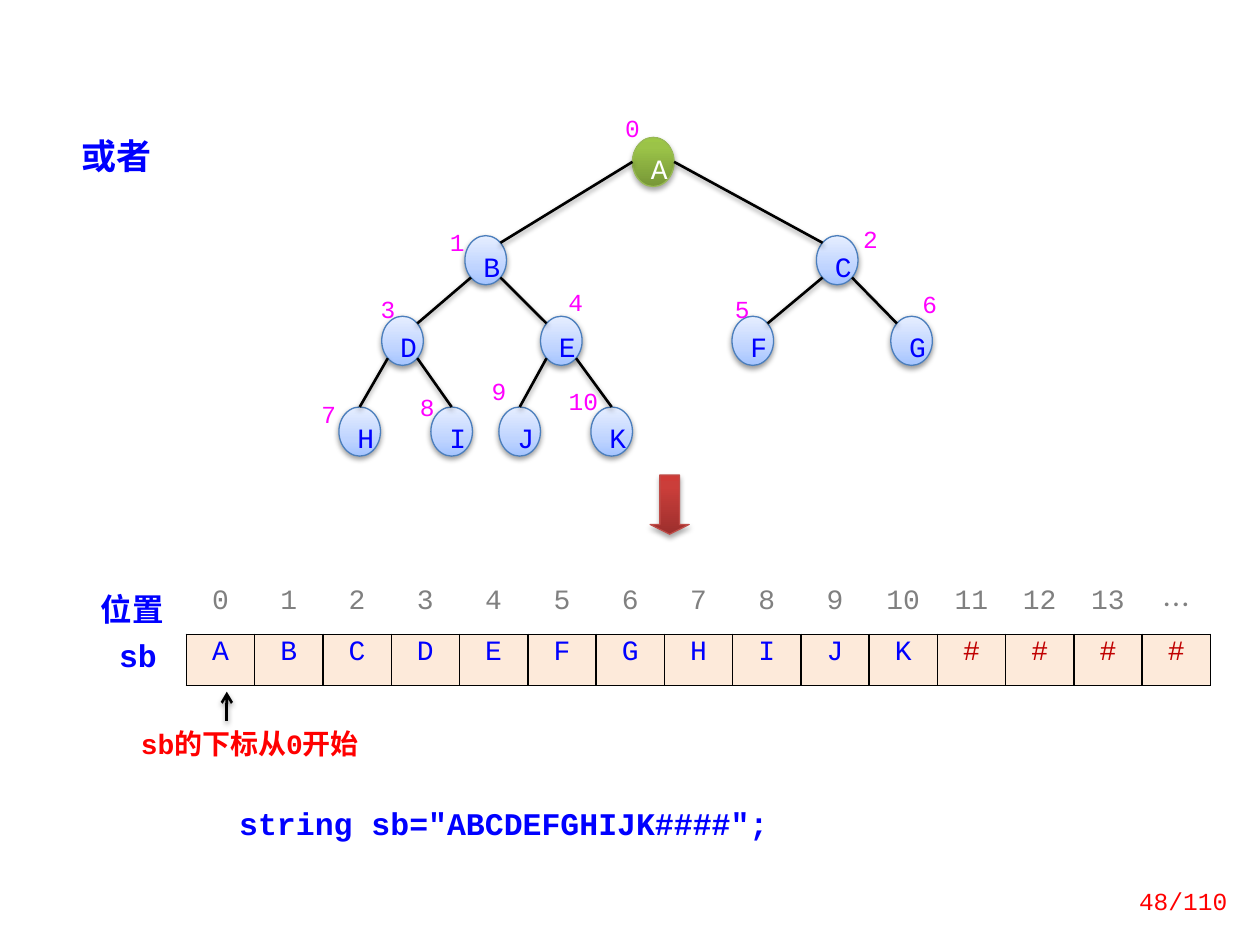
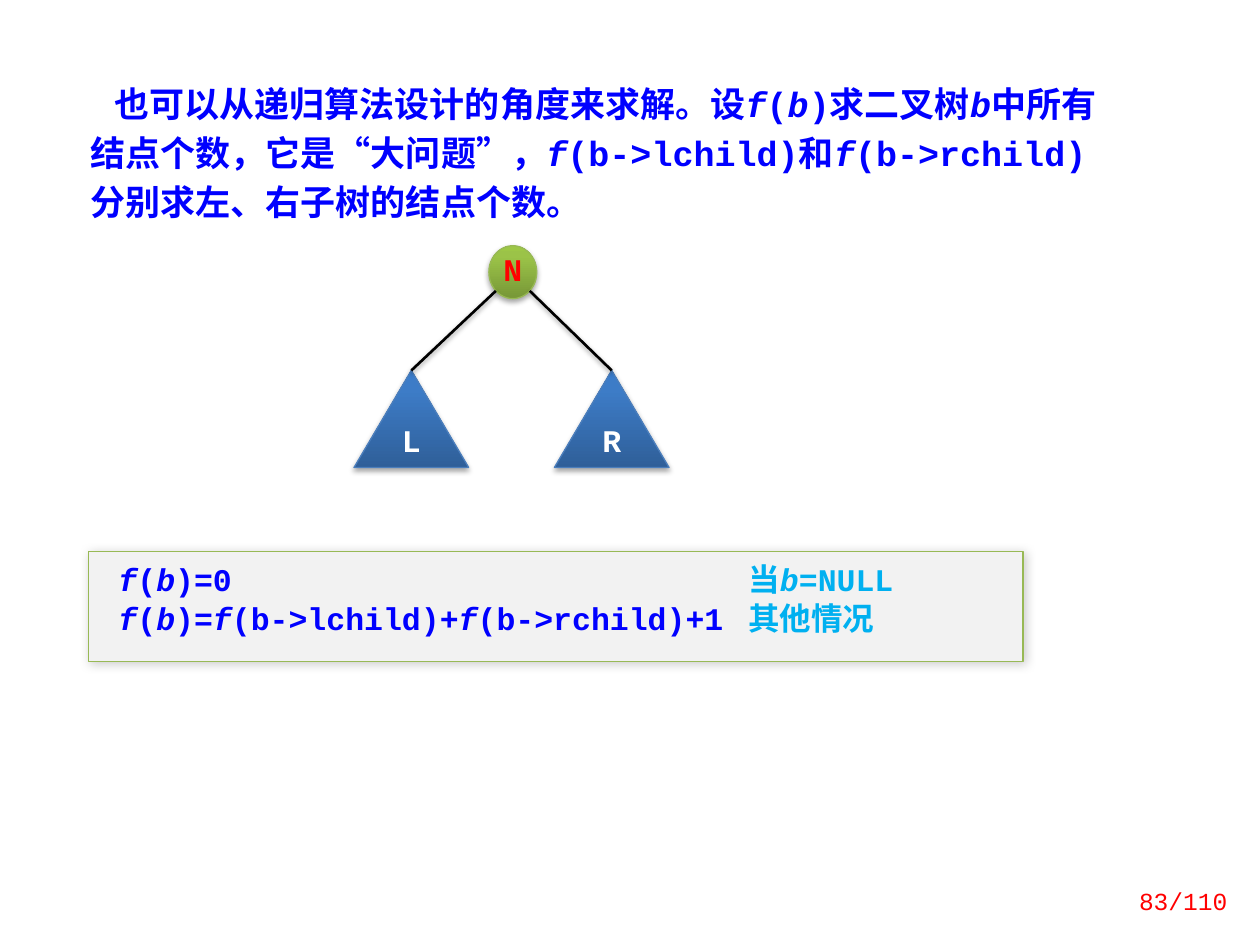
from lxml import etree
from pptx import Presentation
from pptx.dml.color import RGBColor
from pptx.enum.shapes import MSO_CONNECTOR, MSO_SHAPE
from pptx.enum.text import MSO_ANCHOR, PP_ALIGN
from pptx.oxml import parse_xml
from pptx.oxml.ns import nsdecls, qn
from pptx.util import Inches, Pt

LEFT, CENTER, RIGHT = PP_ALIGN.LEFT, PP_ALIGN.CENTER, PP_ALIGN.RIGHT
TOP, MIDDLE = MSO_ANCHOR.TOP, MSO_ANCHOR.MIDDLE
OVAL, TRIANGLE = MSO_SHAPE.OVAL, MSO_SHAPE.ISOSCELES_TRIANGLE
ARROW, RECT = MSO_SHAPE.DOWN_ARROW, MSO_SHAPE.RECTANGLE
STRAIGHT = MSO_CONNECTOR.STRAIGHT

MONO, HAN = "Courier New", "Noto Sans CJK SC"
BLUE, RED, PINK, WHITE, BLACK = "0000FF", "FF0000", "FF00FF", "FFFFFF", "000000"
GRAY, DARK, PEACH, SKY, PALE = "808080", "C00000", "FDEADA", "00B0F0", "F2F2F2"
PAD = (0.1, 0.05, 0.1, 0.05)
NONE = (0, 0, 0, 0)

# Shadow: opacity %, blur pt, distance pt, angle
DEEP, SOFT, WIDE = (35, 3.1, 1.8, 90), (38, 3.1, 1.6, 90), (20, 6, 1, 45)
# Look: gradient stops from bottom to top, line, shadow
GREEN_LOOK = ([(0, "779737"), (80, "9BC348"), (100, "9DC746")], "98B955", DEEP)
LIGHT_LOOK = ([(0, "A4C4FF"), (35, "BFD4FF"), (100, "E6EEFF")], "4B7EBC", SOFT)
BLUE_LOOK = ([(0, "2F5F99"), (80, "3D7CC7"), (100, "3A7CCB")], "4B7EBC", DEEP)
RED_LOOK = ([(0, "9C2F2D"), (80, "CB3E3A"), (100, "CE3B37")], "BF4C48", DEEP)
BOX_LOOK = ([(0, PALE), (100, PALE)], "98B955", WIDE)

# Nodes in level order: name, place of node, place of its number
TREE = [
    ("A", (5.02, 1.09), (4.82, 0.94)),
    ("B", (3.69, 1.87), (3.43, 1.85)),
    ("C", (6.48, 1.87), (6.71, 1.82)),
    ("D", (3.03, 2.51), (2.88, 2.38)),
    ("E", (4.29, 2.51), (4.37, 2.32)),
    ("F", (5.81, 2.51), (5.69, 2.38)),
    ("G", (7.07, 2.51), (7.18, 2.34)),
    ("H", (2.69, 3.23), (2.41, 3.21)),
    ("I", (3.42, 3.23), (3.19, 3.16)),
    ("J", (3.96, 3.23), (3.76, 3.03)),
    ("K", (4.69, 3.23), (4.43, 3.11)),
]
NODE = (0.33, 0.39)
LEAVES = 7  # index of the first node on the lowest level
SPOTS = [str(i) for i in range(14)] + ["…"]
CELLS = "ABCDEFGHIJK####"

# Text between stars is italic
INTRO = ("也可以从递归算法设计的角度来求解。设*f*(*b*)求二叉树*b*中所有结点个数，"
         "它是“大问题”，*f*(b->lchild)和*f*(b->rchild)分别求左、右子树的结点个数。")
CASES = [
    [("*f*(*b*)=0\t", BLUE), ("当*b*=NULL", SKY)],
    [("*f*(*b*)=*f*(b->lchild)+*f*(b->rchild)+1\t", BLUE), ("其他情况", SKY)],
]
ROOT = (3.88, 1.95, 0.38, 0.42)
SUBS = [("L", (2.81, 2.94, 0.91, 0.77)), ("R", (4.4, 2.94, 0.91, 0.77))]
DIAG = 0.146  # share of an oval's box outside its 45 degree points


def color(code):
    return RGBColor.from_string(code)


def style(run, size, tint, bold=False, face=MONO):
    font = run.font
    font.size, font.bold, font.name = Pt(size), bold, face
    font.color.rgb = color(tint)
    east = etree.SubElement(run._r.get_or_add_rPr(), qn("a:ea"))
    east.set("typeface", HAN)


def pour(para, parts, size, bold):
    """Add marked-up (text, colour) parts as runs."""
    for text, tint in parts:
        for i, bit in enumerate(text.split("*")):
            if bit:
                run = para.add_run()
                run.text = bit
                style(run, size, tint, bold)
                run.font.italic = i % 2 == 1


def setup(frame, pad=PAD, anchor=TOP):
    frame.word_wrap = True
    frame.vertical_anchor = anchor
    (frame.margin_left, frame.margin_top,
     frame.margin_right, frame.margin_bottom) = map(Inches, pad)


def write(frame, text, size, tint, bold=False, align=LEFT, lead=None, face=MONO):
    para = frame.paragraphs[0]
    para.text = text
    para.alignment = align
    if lead:
        para.line_spacing = lead
    style(para.runs[0], size, tint, bold, face)


def label(slide, box, text, size, tint, pad=PAD, anchor=TOP, **kw):
    frame = slide.shapes.add_textbox(*map(Inches, box)).text_frame
    setup(frame, pad, anchor)
    write(frame, text, size, tint, **kw)


def shade(item, cast):
    """Replace the theme shadow of a shape or line."""
    alpha, blur, dist, angle = cast
    props = item._element.spPr
    for old in props.findall(qn("a:effectLst")):
        props.remove(old)
    props.append(parse_xml(
        f'<a:effectLst {nsdecls("a")}><a:outerShdw blurRad="{Pt(blur)}" '
        f'dist="{Pt(dist)}" dir="{angle * 60000}" rotWithShape="0">'
        f'<a:srgbClr val="{BLACK}"><a:alpha val="{alpha * 1000}"/></a:srgbClr>'
        '</a:outerShdw></a:effectLst>'))


def shape(slide, kind, box, look):
    stops, edge, cast = look
    item = slide.shapes.add_shape(kind, *map(Inches, box))
    item.shadow.inherit = False
    if stops[0][1] == stops[-1][1]:
        item.fill.solid()
        item.fill.fore_color.rgb = color(stops[0][1])
    else:
        marks = "".join(f'<a:gs pos="{p * 1000}"><a:srgbClr val="{c}"/></a:gs>'
                        for p, c in stops)
        item._element.spPr.find(qn("a:prstGeom")).addnext(parse_xml(
            f'<a:gradFill {nsdecls("a")} rotWithShape="1"><a:gsLst>{marks}'
            '</a:gsLst><a:lin ang="16200000" scaled="0"/></a:gradFill>'))
    item.line.color.rgb = color(edge)
    item.line.width = Pt(0.75)
    shade(item, cast)
    return item


def link(slide, start, end):
    line = slide.shapes.add_connector(STRAIGHT, *map(Inches, (*start, *end)))
    line.line.color.rgb = color(BLACK)
    line.line.width = Pt(1.5)
    shade(line, SOFT)
    return line


def point(box, fx, fy):
    return box[0] + fx * box[2], box[1] + fy * box[3]


def page(deck, number):
    slide = deck.slides.add_slide(deck.slide_layouts[6])
    label(slide, (8.7, 6.95, 1.14, 0.4), f"{number}/110", 14, RED,
          anchor=MIDDLE, align=RIGHT)
    return slide


def draw_tree(slide):
    for i, (name, place, spot) in enumerate(TREE):
        box = (*place, *NODE)
        item = shape(slide, OVAL, box, LIGHT_LOOK if i else GREEN_LOOK)
        setup(item.text_frame, anchor=MIDDLE)
        write(item.text_frame, name, 16, BLUE if i else WHITE,
              align=CENTER, lead=Pt(26))
        label(slide, (*spot, 0.4, 0.19), str(i), 14, PINK, NONE,
              align=CENTER, lead=0.8)
        if i == 0:
            continue
        up = (i - 1) // 2
        left = i % 2 == 1
        parent = (*TREE[up][1], *NODE)
        fx, fy = (DIAG, 1 - DIAG) if up else (0, 0.5)
        start = point(parent, fx if left else 1 - fx, fy)
        if i >= LEAVES:
            end = point(box, 0.5, 0)
        else:
            end = point(box, 1 - DIAG if left else DIAG, DIAG)
        link(slide, start, end)


def border(cell, sides):
    props = cell._tc.get_or_add_tcPr()
    for at, side in enumerate(sides):
        props.insert(at, parse_xml(
            f'<a:{side} {nsdecls("a")} w="{Pt(1)}"><a:solidFill>'
            f'<a:srgbClr val="{BLACK}"/></a:solidFill></a:{side}>'))


def draw_array(slide):
    area = map(Inches, (1.48, 4.63, 8.13, 0.81))
    frame = slide.shapes.add_table(2, len(SPOTS), *area)
    table = frame.table
    table.first_row = table.horz_banding = False
    style_id = frame._element.find(".//" + qn("a:tableStyleId"))
    style_id.text = "{2D5ABB26-0587-4C30-8999-92F81FD0307C}"
    for col in table.columns:
        col.width = Inches(8.13 / len(SPOTS))
    for r, row in enumerate((SPOTS, CELLS)):
        for c, text in enumerate(row):
            cell = table.cell(r, c)
            cell.fill.solid()
            cell.fill.fore_color.rgb = color(PEACH if r else WHITE)
            tint = GRAY if r == 0 else DARK if text == "#" else BLUE
            write(cell.text_frame, text, 16, tint, align=CENTER, lead=0.8,
                  face=HAN if text == "…" else MONO)
            border(cell, ("lnL", "lnR", "lnT", "lnB") if r else ("lnB",))


def storage(deck):
    slide = page(deck, 48)
    label(slide, (0.55, 1.02, 0.86, 0.44), "或者", 20, BLUE, bold=True)
    draw_tree(slide)
    shape(slide, ARROW, (5.16, 3.77, 0.31, 0.47), RED_LOOK).adjustments[1] = 0.25
    draw_array(slide)
    label(slide, (0.7, 4.74, 0.7, 0.29), "位置", 18, BLUE, (0, 0, 0, 0.05),
          bold=True, align=CENTER, lead=0.8, face=HAN)
    label(slide, (0.78, 5.06, 0.63, 0.35), "sb", 18, BLUE,
          bold=True, align=CENTER, lead=0.8)
    label(slide, (1.02, 5.72, 2.19, 0.37), "sb的下标从0开始", 16, RED, bold=True)
    arrow = link(slide, (1.8, 5.72), (1.8, 5.49))
    etree.SubElement(arrow.line._get_or_add_ln(), qn("a:tailEnd")).set("type", "arrow")
    label(slide, (1.8, 6.33, 5.16, 0.4), 'string sb="ABCDEFGHIJK####";',
          18, BLUE, bold=True)


def count(deck):
    slide = page(deck, 83)
    frame = slide.shapes.add_textbox(*map(Inches, (0.62, 0.55, 8.36, 1.28))).text_frame
    setup(frame)
    para = frame.paragraphs[0]
    para.line_spacing = Pt(28)
    para._p.get_or_add_pPr().set("indent", str(Inches(0.19)))
    pour(para, [(INTRO, BLUE)], 20, True)

    root = shape(slide, OVAL, ROOT, GREEN_LOOK)
    setup(root.text_frame, (0, 0.05, 0, 0.05), MIDDLE)
    write(root.text_frame, "N", 18, RED, True, CENTER, 0.8)
    for (name, box), fx in zip(SUBS, (DIAG, 1 - DIAG)):
        sub = shape(slide, TRIANGLE, box, BLUE_LOOK)
        setup(sub.text_frame, anchor=MIDDLE)
        write(sub.text_frame, name, 18, WHITE, True, CENTER, 0.8)
        link(slide, point(ROOT, fx, 1 - DIAG), point(box, 0.5, 0))

    frame = shape(slide, RECT, (0.7, 4.38, 7.42, 0.87), BOX_LOOK).text_frame
    setup(frame, (0.24, 0.12, 0.1, 0.12))
    for i, parts in enumerate(CASES):
        para = frame.add_paragraph() if i else frame.paragraphs[0]
        para.alignment = LEFT
        para.line_spacing = 0.8
        if i:
            para.space_before = Pt(5)
        tabs = etree.SubElement(para._p.get_or_add_pPr(), qn("a:tabLst"))
        etree.SubElement(tabs, qn("a:tab"), pos=str(Inches(5)), algn="l")
        pour(para, parts, 18, True)


def main():
    deck = Presentation()
    deck.slide_width, deck.slide_height = Inches(10), Inches(7.5)
    storage(deck)
    count(deck)
    deck.save("out.pptx")


if __name__ == "__main__":
    main()
